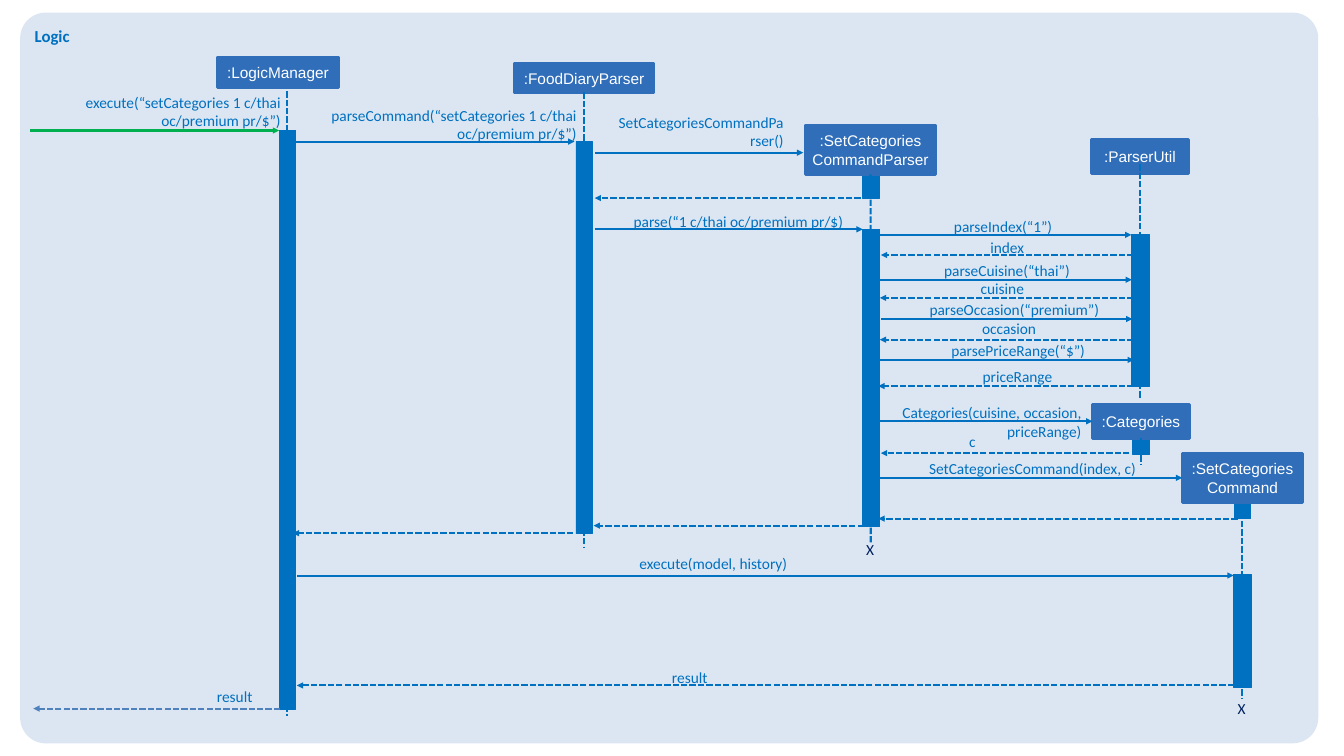
from lxml import etree
from pptx import Presentation
from pptx.dml.color import RGBColor
from pptx.enum.dml import MSO_LINE
from pptx.enum.shapes import MSO_CONNECTOR, MSO_SHAPE
from pptx.enum.text import MSO_ANCHOR, PP_ALIGN as ALIGN
from pptx.oxml.ns import qn
from pptx.util import Inches, Pt

rgb = RGBColor.from_string
BLUE = "0070C0"
HEADER_BLUE = "306EBA"

presentation = Presentation()
presentation.slide_width = Inches(26.67)
presentation.slide_height = Inches(15)
slide = presentation.slides.add_slide(presentation.slide_layouts[6])
shapes = slide.shapes


def add_line(x1, y1, x2, y2, color=BLUE, dashed=False, arrow=False):
    line = shapes.add_connector(MSO_CONNECTOR.STRAIGHT, Inches(x1), Inches(y1),
                                Inches(x2), Inches(y2))
    line.line.color.rgb = rgb(color)
    line.line.width = Pt(3)
    if dashed:
        line.line.dash_style = MSO_LINE.SQUARE_DOT
    properties = line._element.spPr
    if arrow:
        etree.SubElement(properties.find(qn("a:ln")), qn("a:tailEnd"), type="triangle")
    etree.SubElement(properties, qn("a:effectLst"))
    return line


def add_text(shape, text, margin, align, color, font="Calibri", size=22, bold=False):
    frame = shape.text_frame
    frame.word_wrap = True
    frame.margin_left = frame.margin_right = Inches(margin)
    frame.margin_top = frame.margin_bottom = Inches(margin)
    frame.text = text
    for paragraph in frame.paragraphs:
        paragraph.alignment = align
        paragraph.font.name = font
        paragraph.font.size = Pt(size)
        paragraph.font.bold = bold
        paragraph.font.color.rgb = rgb(color)


# Frame of the Logic component
frame_shape = shapes.add_shape(MSO_SHAPE.ROUNDED_RECTANGLE, Inches(0.4), Inches(0.25),
                               Inches(25.76), Inches(14.5))
frame_shape.adjustments[0] = 0.035
frame_shape.fill.solid()
frame_shape.fill.fore_color.rgb = rgb("DCE6F2")
frame_shape.line.fill.background()
frame_shape.shadow.inherit = False
title = shapes.add_textbox(Inches(0.59), Inches(0.4), Inches(18.47), Inches(0.59))
add_text(title, "Logic", 0.1, ALIGN.LEFT, BLUE, size=24, bold=True)

# Activation bars: left, top, width, height
activations = [
    (5.54, 2.58, 0.33, 11.49),
    (11.43, 2.81, 0.32, 7.78),
    (17.12, 3.33, 0.33, 0.6),
    (17.11, 4.55, 0.35, 5.9),
    (22.45, 4.66, 0.35, 3),
    (22.47, 8.41, 0.33, 0.6),
    (24.49, 9.69, 0.33, 0.6),
    (24.48, 11.4, 0.35, 2.24),
]
# Participants: name, left, top, width, height
participants = [
    (":LogicManager", 4.32, 1.13, 2.39, 0.61),
    (":FoodDiaryParser", 10.2, 1.26, 2.78, 0.57),
    (":SetCategories\nCommandParser", 15.98, 2.48, 2.59, 0.98),
    (":ParserUtil", 21.66, 2.77, 1.92, 0.68),
    (":Categories", 21.68, 8.02, 1.92, 0.68),
    (":SetCategoriesCommand", 23.46, 8.99, 2.39, 0.98),
]
bars = [(None, *bar, BLUE, 1) for bar in activations]
headers = [(*header, HEADER_BLUE, 4) for header in participants]
boxes = {}
for name, left, top, width, height, color, line_width in bars + headers:
    box = shapes.add_shape(MSO_SHAPE.RECTANGLE, Inches(left), Inches(top),
                           Inches(width), Inches(height))
    box.fill.solid()
    box.fill.fore_color.rgb = rgb(color)
    box.line.color.rgb = rgb(color)
    box.line.width = Pt(line_width)
    box.shadow.inherit = False
    if name:
        box.text_frame.vertical_anchor = MSO_ANCHOR.MIDDLE
        add_text(box, name, 0.1, ALIGN.CENTER, "FFFFFF", font="Arial")
        boxes[name] = box

# Lifelines: x, top, bottom, participant joined at its bottom side
lifelines = [
    (5.7, 1.81, 14.2, None),
    (11.59, 1.83, 10.86, ":FoodDiaryParser"),
    (17.28, 3.46, 10.76, ":SetCategories\nCommandParser"),
    (22.62, 3.26, 7.93, None),
    (22.64, 8.7, 9.23, ":Categories"),
    (24.65, 10.17, 13.86, None),
]
for x, top, bottom, owner in lifelines:
    lifeline = add_line(x, top, x, bottom, dashed=True)
    if owner:
        lifeline.begin_connect(boxes[owner], 2)

# Calls run left to right: start x, end x, y, participant joined at its left side
calls = [
    (5.84, 11.4, 2.81, None),
    (11.81, 15.94, 3.03, None),
    (11.8, 17.12, 4.55, None),
    (17.46, 22.45, 4.66, None),
    (17.43, 22.46, 5.55, None),
    (17.48, 22.47, 6.33, None),
    (17.43, 22.5, 7.14, None),
    (17.42, 21.68, 8.36, ":Categories"),
    (17.38, 23.46, 9.48, ":SetCategoriesCommand"),
    (5.89, 24.48, 11.42, None),
]
for start, end, y, target in calls:
    call = add_line(start, y, end, y, arrow=True)
    if target:
        call.end_connect(boxes[target], 1)
add_line(0.6, 2.59, 5.54, 2.59, color="00B050", arrow=True)

# Returns run right to left: start x, end x, y
returns = [
    (17.08, 11.8, 3.93),
    (22.49, 17.48, 5.06),
    (22.49, 17.46, 5.91),
    (22.49, 17.46, 6.74),
    (22.49, 17.43, 7.66),
    (22.58, 17.48, 8.99),
    (24.56, 17.43, 10.29),
    (17.31, 11.78, 10.43),
    (11.37, 5.81, 10.58),
    (24.49, 5.89, 13.6),
]
for start, end, y in returns:
    add_line(start, y, end, y, dashed=True, arrow=True)
add_line(5.56, 14.06, 0.66, 14.06, color="4F81BD", dashed=True, arrow=True)

# Message labels: text, left, top, width, number of lines
labels = [
    ("execute(“setCategories 1 c/thai oc/premium pr/$”)", 0.47, 1.84, 5.1, 2),
    ("parseCommand(“setCategories 1 c/thai oc/premium pr/$”)", 5.68, 2.1, 5.76, 2),
    ("SetCategoriesCommandParser()", 12.2, 2.24, 3.35, 2),
    ("parse(“1 c/thai oc/premium pr/$)", 11.83, 4.21, 4.9, 1),
    ("parseIndex(“1”)", 18.04, 4.31, 2.84, 1),
    ("index", 19.28, 4.72, 1.04, 1),
    ("parseCuisine(“thai”)", 18.39, 5.19, 2.84, 1),
    ("cuisine", 19.28, 5.53, 1.04, 1),
    ("parseOccasion(“premium”)", 18.1, 5.96, 3.71, 1),
    ("occasion", 19.35, 6.34, 1.21, 1),
    ("parsePriceRange(“$”)", 18.37, 6.77, 3.16, 1),
    ("priceRange", 17.83, 7.29, 3.05, 1),
    ("Categories(cuisine, occasion, priceRange)", 17.42, 8, 4.04, 2),
    ("c", 18.61, 8.57, 0.75, 1),
    ("SetCategoriesCommand(index, c)", 17.96, 9.11, 4.58, 1),
    ("execute(model, history)", 12.27, 10.99, 3.35, 1),
    ("result", 13.24, 13.25, 0.8, 1),
    ("result", 0.43, 13.63, 4.58, 1),
]
for text, left, top, width, line_count in labels:
    label = shapes.add_textbox(Inches(left), Inches(top), Inches(width),
                               Inches(0.36 * line_count))
    add_text(label, text, 0, ALIGN.RIGHT, BLUE)

# Marks where a participant is destroyed
for left, top in [(17.09, 10.62), (24.46, 13.78)]:
    mark = shapes.add_textbox(Inches(left), Inches(top), Inches(0.38), Inches(0.56))
    add_text(mark, "X", 0.1, ALIGN.LEFT, "002060")

presentation.save("out.pptx")
